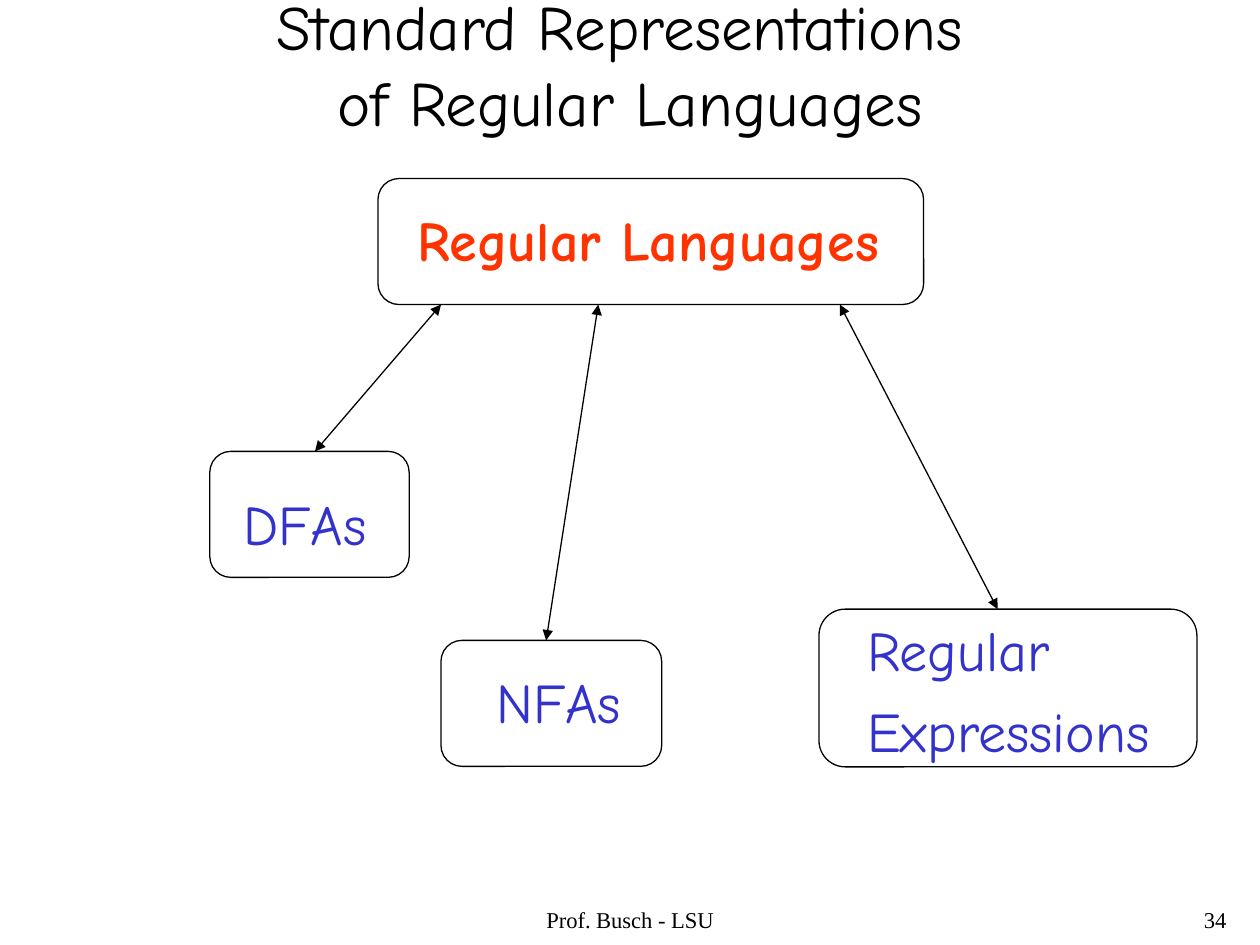
from lxml import etree
from pptx import Presentation
from pptx.dml.color import RGBColor
from pptx.enum import shapes, text
from pptx.oxml.ns import qn
from pptx.util import Cm, Pt

BLACK = RGBColor(0x00, 0x00, 0x00)
RED = RGBColor(0xFF, 0x33, 0x00)
BLUE = RGBColor(0x33, 0x33, 0xCC)
HEADING_FONT = "Comic Neue"
FOOTER_FONT = "Times New Roman"
LINE_WIDTH = Pt(0.75)


def format_text(tf, font, size, color, bold=False, align=text.PP_ALIGN.LEFT):
    for p in tf.paragraphs:
        p.alignment = align
        for r in p.runs:
            r.font.name = font
            r.font.size = Pt(size)
            r.font.bold = bold
            r.font.color.rgb = color


def set_title(s, title):
    sp = s.shapes.title
    sp.left, sp.top, sp.width, sp.height = Cm(0.42), Cm(0.42), Cm(24.56), Cm(1.7)
    tf = sp.text_frame
    tf.text = title
    tf.auto_size = text.MSO_AUTO_SIZE.NONE
    tf.vertical_anchor = text.MSO_ANCHOR.MIDDLE
    tf.margin_left = tf.margin_right = tf.margin_top = tf.margin_bottom = 0
    format_text(tf, HEADING_FONT, 36, BLACK, align=text.PP_ALIGN.CENTER)


def add_footer(s, words, left, width, align):
    tf = s.shapes.add_textbox(Cm(left), Cm(18.2), Cm(width), Cm(0.85)).text_frame
    tf.word_wrap = True
    tf.text = words
    tf.paragraphs[0].line_spacing = 0.9
    format_text(tf, FOOTER_FONT, 12.9, BLACK, align=align)


def add_label(s, words, left, top, width, height, color, bold=False):
    tf = s.shapes.add_textbox(Cm(left), Cm(top), Cm(width), Cm(height)).text_frame
    tf.word_wrap = False
    tf.auto_size = text.MSO_AUTO_SIZE.SHAPE_TO_FIT_TEXT
    tf.text = words
    for p in tf.paragraphs[1:]:
        p.space_before = Pt(8)
    format_text(tf, HEADING_FONT, 32, color, bold)


def add_frame(s, left, top, width, height):
    sp = s.shapes.add_shape(shapes.MSO_SHAPE.ROUNDED_RECTANGLE,
                            Cm(left), Cm(top), Cm(width), Cm(height))
    sp.shadow.inherit = False
    sp.fill.background()
    sp.line.color.rgb = BLACK
    sp.line.width = LINE_WIDTH


def add_double_arrow(s, x1, y1, x2, y2):
    cn = s.shapes.add_connector(shapes.MSO_CONNECTOR.STRAIGHT,
                                Cm(x1), Cm(y1), Cm(x2), Cm(y2))
    cn.line.color.rgb = BLACK
    cn.line.width = LINE_WIDTH
    ln = cn.line._get_or_add_ln()
    for end in ("a:headEnd", "a:tailEnd"):
        etree.SubElement(ln, qn(end), type="triangle")
    etree.SubElement(cn._element.spPr, qn("a:effectLst"))


def main():
    prs = Presentation()
    prs.slide_width, prs.slide_height = Cm(25.4), Cm(19.05)
    s = prs.slides.add_slide(prs.slide_layouts[5])

    set_title(s, "Standard Representations \vof Regular Languages")
    add_footer(s, "Prof. Busch - LSU", 8.68, 8.04, text.PP_ALIGN.CENTER)
    add_footer(s, "34", 19.69, 5.28, text.PP_ALIGN.RIGHT)

    add_label(s, "Regular Languages", 8.16, 4.02, 9.83, 1.62, RED, bold=True)
    add_label(s, "DFAs", 4.66, 9.74, 2.99, 1.62, BLUE)
    add_label(s, "NFAs", 9.76, 13.34, 3.02, 1.62, BLUE)
    add_label(s, "Regular\nExpressions", 17.23, 12.28, 6.22, 3.25, BLUE)

    root_top, box_height = 3.6, 2.54
    root_bottom = root_top + box_height
    add_frame(s, 7.62, root_top, 11, box_height)

    # left, top, width, height, arrow start x, arrow end x
    representations = [
        (4.23, 9.1, 4.02, box_height, 8.89, 6.35),
        (8.89, 12.91, 4.45, box_height, 12.06, 11.01),
        (16.51, 12.28, 7.62, 3.18, 16.93, 20.11),
    ]
    for left, top, width, height, start_x, end_x in representations:
        add_frame(s, left, top, width, height)
        add_double_arrow(s, start_x, root_bottom, end_x, top)

    prs.save("out.pptx")


if __name__ == "__main__":
    main()
